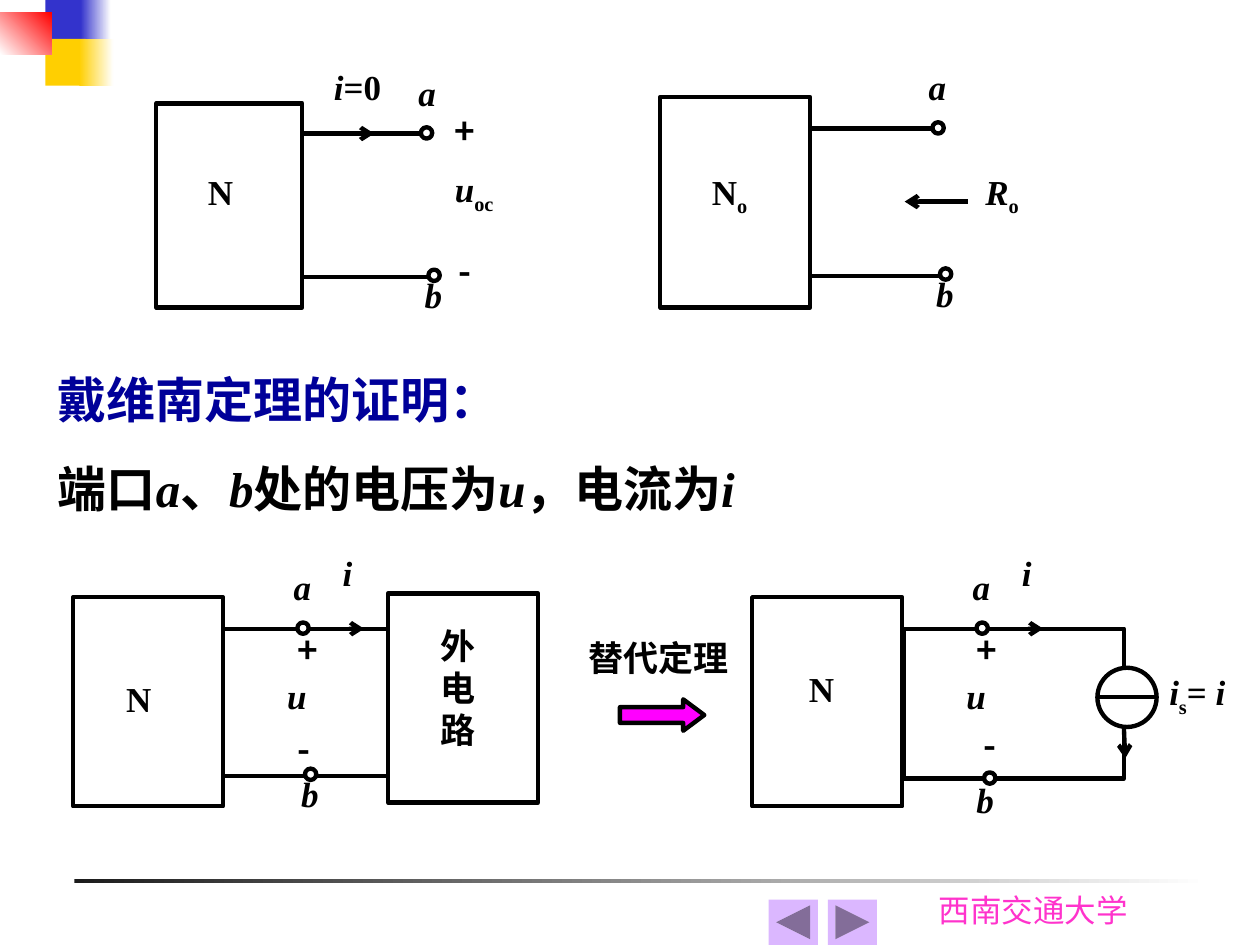
import pptx
import pptx.util
import pptx.dml.color
import pptx.enum.shapes
import pptx.enum.text
import pptx.oxml
import pptx.oxml.ns

In = pptx.util.Inches
Pt = pptx.util.Pt
Kind = pptx.enum.shapes.MSO_SHAPE
Text = pptx.enum.text

HUES = {
    "ink": "000000", "white": "FFFFFF", "navy": "000099", "blue": "3333CC",
    "gold": "FFCF01", "red": "FF0000", "pink": "FF33CC", "hot": "FF00FF",
    "lilac": "DBB7FF", "rule": "1C1C1C",
}
SERIF, SANS = "Times New Roman", "Noto Sans CJK SC"


def hue(name):
    return pptx.dml.color.RGBColor.from_string(HUES[name])


def put(item, vals):
    for key, val in vals.items():
        setattr(item, key, val)


class Board:
    """Holds the slide and the common style of its parts."""
    width = Pt(2.5)
    frame = {"margin_left": 0, "margin_right": 0, "margin_top": 0,
             "margin_bottom": 0, "word_wrap": True}
    font = {"name": SERIF, "size": Pt(20), "bold": True, "italic": False}

    def __init__(self, slide):
        self.slide = slide

    def shape(self, kind, x, y, w, h, fill=None, line="ink"):
        item = self.slide.shapes.add_shape(kind, In(x), In(y), In(w), In(h))
        item.shadow.inherit = False
        if fill:
            item.fill.solid()
            item.fill.fore_color.rgb = hue(fill)
        else:
            item.fill.background()
        if line:
            item.line.width = self.width
            item.line.color.rgb = hue(line)
        else:
            item.line.fill.background()
        return item

    def box(self, x, y, w=1.19, h=1.66):
        self.shape(Kind.RECTANGLE, x, y, w, h)

    def node(self, x, y):
        self.shape(Kind.OVAL, x, y, 0.09, 0.09, "white")

    def fade(self, x, y, w, h, start, end, turn=0):
        item = self.shape(Kind.RECTANGLE, x, y, w, h, line=None)
        item.fill.gradient()
        item.fill.gradient_angle = turn
        for stop, name in zip(item.fill.gradient_stops, (start, end)):
            stop.color.rgb = hue(name)

    def wire(self, x, y, to_x, to_y, tip=False):
        item = self.slide.shapes.add_connector(
            pptx.enum.shapes.MSO_CONNECTOR.STRAIGHT,
            In(x), In(y), In(to_x), In(to_y))
        put(item.line, {"width": self.width})
        item.line.color.rgb = hue("ink")
        make = pptx.oxml.ns.qn
        if tip:
            tail = item.line._get_or_add_ln().makeelement(
                make("a:tailEnd"), {"type": "arrow"})
            item.line._get_or_add_ln().append(tail)
        props = item._element.spPr
        props.append(props.makeelement(make("a:effectLst"), {}))

    def runs(self, para, parts, tint="ink", **style):
        """Each part is (text, mode): i is italic, s is subscript."""
        for text, mode in parts:
            run = para.add_run()
            run.text = text
            put(run.font, {**self.font, **style, "italic": mode == "i"})
            run.font.color.rgb = hue(tint)
            if mode == "s":
                run.font._element.set("baseline", "-25000")

    def label(self, x, y, w, h, *lines, tint="ink", **style):
        item = self.slide.shapes.add_textbox(In(x), In(y), In(w), In(h))
        put(item.text_frame, self.frame)
        for n, parts in enumerate(lines):
            para = (item.text_frame.add_paragraph() if n
                    else item.text_frame.paragraphs[0])
            self.runs(para, parts, tint, **style)

    def var(self, x, y, name):
        self.label(x, y, 0.8, 0.6, [(name, "i")])

    def sign(self, x, y, mark):
        self.label(x, y, 0.36, 0.5, [(mark, "")], name=SANS)

    def title(self, *lines):
        item = self.slide.shapes.title
        put(item, {"left": In(0.36), "top": In(2.88),
                   "width": In(6.22), "height": In(1.28)})
        put(item.text_frame, {
            "margin_left": In(0.1), "margin_right": In(0.1),
            "margin_top": In(0.05), "margin_bottom": In(0.05),
            "word_wrap": False, "auto_size": Text.MSO_AUTO_SIZE.NONE,
            "vertical_anchor": Text.MSO_ANCHOR.MIDDLE})
        for n, (tint, parts) in enumerate(lines):
            para = (item.text_frame.add_paragraph() if n
                    else item.text_frame.paragraphs[0])
            put(para, {"alignment": Text.PP_ALIGN.LEFT,
                       "space_before": Pt(17.5 if n else 0)})
            self.runs(para, parts, tint, size=Pt(28))


def main():
    deck = pptx.Presentation()
    put(deck, {"slide_width": In(10), "slide_height": In(7.5)})
    board = Board(deck.slides.add_slide(deck.slide_layouts[5]))

    # Corner blocks, footer rule and school name
    board.fade(0.59, 6.98, 9, 0.03, "rule", "white")
    board.label(7.45, 7.07, 1.7, 0.3, [("西南交通大学", "")], tint="pink",
                name="Karla", size=Pt(18), bold=False)
    for y, tint, x, w in ((0, "blue", 0.64, 0.24), (0.31, "gold", 0.63, 0.27)):
        board.shape(Kind.RECTANGLE, 0.36, y, 0.32, 0.37, tint, None)
        board.fade(x, y, w, 0.37, tint, "white")
    board.fade(0, 0.1, 0.41, 0.33, "white", "red", 45)

    # Theorem heading and statement
    board.title(
        ("navy", [("戴维南定理的证明：", "")]),
        ("ink", [("端口", ""), ("a", "i"), ("、", ""), ("b", "i"),
                 ("处的电压为", ""), ("u", "i"), ("，电流为", ""), ("i", "i")]))

    # Open circuit voltage, top left
    board.box(1.24, 0.82, 1.16, 1.62)
    board.label(1.65, 1.35, 0.49, 0.48, [("N", "")])
    board.wire(2.4, 1.06, 3.34, 1.06)
    board.wire(2.4, 2.2, 3.4, 2.2)
    board.wire(2.83, 1.06, 2.97, 1.06, True)
    board.node(3.34, 1.01)
    board.node(3.4, 2.14)
    board.var(3.32, 0.57, "a")
    board.var(3.37, 2.17, "b")
    board.label(2.65, 0.52, 0.8, 0.58, [("i", "i"), ("=0", "")])
    board.sign(3.61, 0.87, "+")
    board.sign(3.64, 1.98, "-")
    board.label(3.61, 1.33, 0.7, 0.79, [("u", "i"), ("oc", "s")])

    # Inner resistance, top right
    board.box(5.24, 0.77, 1.19, 1.67)
    board.label(5.65, 1.35, 0.5, 0.53, [("N", ""), ("o", "s")])
    board.wire(6.43, 1.02, 7.4, 1.02)
    board.wire(6.43, 2.19, 7.46, 2.19)
    board.wire(7.68, 1.6, 7.18, 1.6, True)
    board.node(7.4, 0.97)
    board.node(7.46, 2.13)
    board.var(7.37, 0.52, "a")
    board.var(7.43, 2.16, "b")
    board.label(7.82, 1.35, 0.82, 0.6, [("R", "i"), ("o", "s")])

    # Outer circuit, bottom left
    board.box(3.08, 4.71)
    board.label(3.5, 4.96, 0.5, 1.08, *([(c, "")] for c in "外电路"))
    for y in (4.99, 6.16):
        board.wire(1.78, y, 3.08, y)

    # Current source, bottom right
    board.box(7.17, 4.99, 1.75, 1.19)
    board.shape(Kind.OVAL, 8.71, 5.3, 0.47, 0.47, "white")
    board.wire(8.72, 5.53, 9.19, 5.53)
    board.wire(8.92, 5.77, 8.93, 6.02, True)
    board.label(9.28, 5.32, 0.72, 0.69,
                [("i", "i"), ("s", "s"), ("=", ""), (" i", "i")])

    # Port a, b shared by both bottom circuits
    for dx, n_x, n_y, low, b_x, b_y, m_x, m_y in (
            (0, 1, 5.38, 6.1, 2.39, 6.13, 2.36, 5.77),
            (5.39, 6.42, 5.3, 6.13, 7.75, 6.18, 7.81, 5.74)):
        board.box(0.58 + dx, 4.74)
        board.label(n_x, n_y, 0.39, 0.5, [("N", "")])
        board.node(2.36 + dx, 4.94)
        board.node(2.42 + dx, low)
        board.wire(2.75 + dx, 4.99, 2.89 + dx, 4.99, True)
        for x, y, name in ((2.33, 4.49, "a"), (2.28, 5.35, "u"),
                           (2.72, 4.38, "i")):
            board.var(x + dx, y, name)
        board.var(b_x, b_y, "b")
        board.sign(2.36 + dx, 4.99, "+")
        board.sign(m_x, m_y, "-")

    # Substitution arrow
    board.label(4.67, 5.05, 1.2, 0.42, [("替代定理", "")])
    arrow = board.shape(Kind.RIGHT_ARROW, 4.92, 5.55, 0.67, 0.25, "hot")
    arrow.adjustments[1] = 0.67

    # Page buttons
    for x, kind in ((6.1, Kind.ACTION_BUTTON_BACK_OR_PREVIOUS),
                    (6.57, Kind.ACTION_BUTTON_FORWARD_OR_NEXT)):
        board.shape(kind, x, 7.14, 0.39, 0.36, "lilac", None)

    deck.save("out.pptx")


if __name__ == "__main__":
    main()
